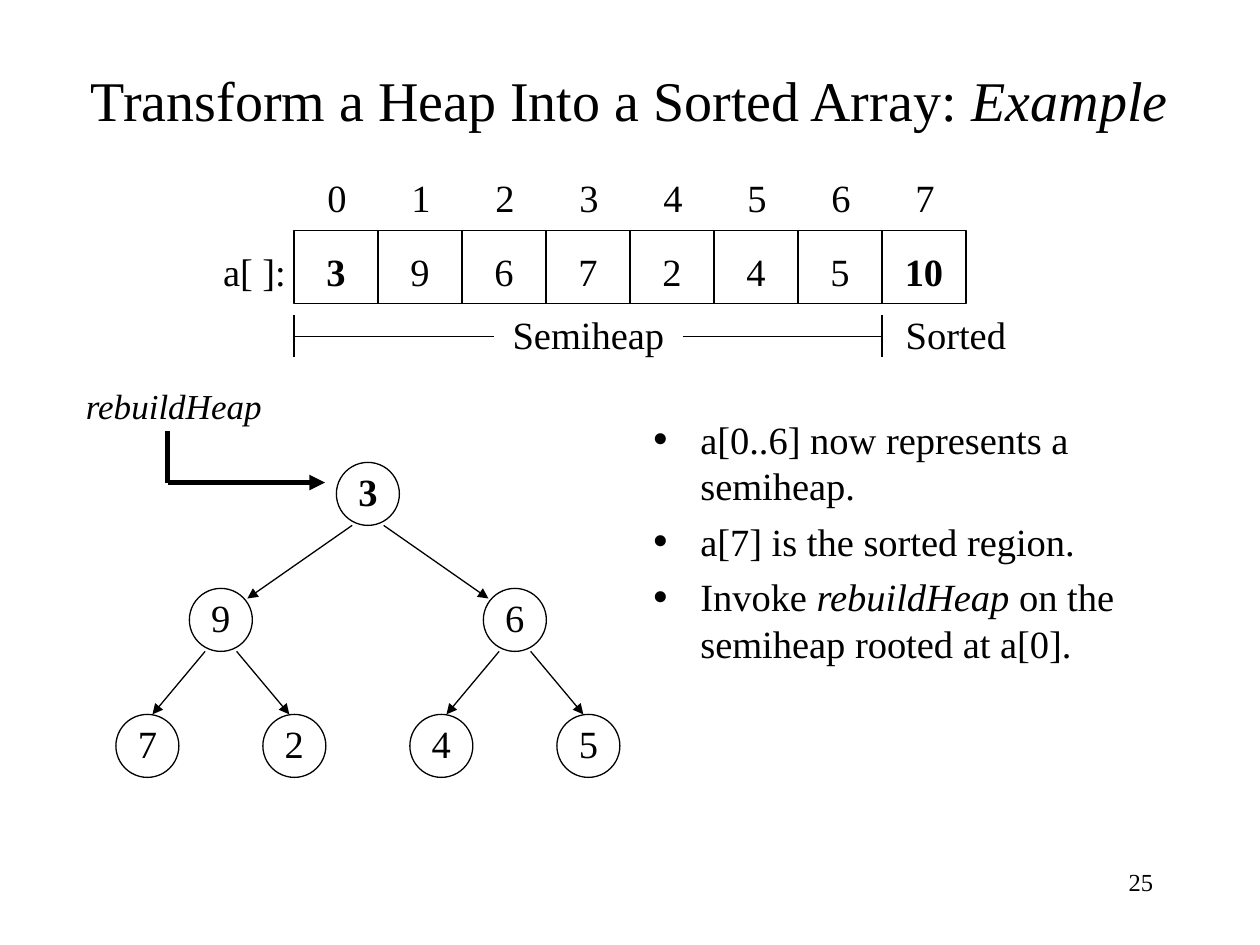
from dataclasses import dataclass

import pptx
import pptx.dml.color
import pptx.enum.shapes
import pptx.enum.text
import pptx.oxml
import pptx.oxml.ns
import pptx.util

Inches = pptx.util.Inches
Pt = pptx.util.Pt
Align = pptx.enum.text.PP_ALIGN
Anchor = pptx.enum.text.MSO_ANCHOR
Shape = pptx.enum.shapes.MSO_SHAPE

BLACK = pptx.dml.color.RGBColor(0x00, 0x00, 0x00)
FONT = "Times New Roman"

ARRAY_VALUES = [3, 9, 6, 7, 2, 4, 5, 10]
BOLD_INDEXES = {0, 7}
SORTED_START = 7
CELL_LEFT, CELL_TOP = 7 / 3, 1.83
CELL_WIDTH, CELL_HEIGHT = 2 / 3, 0.58

TREE_DEPTH = 3
NODE_SIZE = 0.5
LEAF_LEFT, LEAF_PITCH = 0.92, 7 / 6
ROOT_TOP = 3.67


@dataclass
class Box:
    left: float
    top: float
    width: float
    height: float

    def lengths(self):
        return [Inches(n) for n in (self.left, self.top, self.width, self.height)]


@dataclass
class Line:
    start: tuple[float, float]
    end: tuple[float, float]
    width: float = 0.75
    arrow: bool = False


def write(paragraph, text: str, *, size: float = 22, bold: bool = False,
          italic: bool = False, align=Align.CENTER) -> None:
    """Append a formatted run to a paragraph."""
    paragraph.alignment = align
    run = paragraph.add_run()
    run.text = text
    run.font.name = FONT
    run.font.size = Pt(size)
    run.font.bold = bold
    run.font.italic = italic
    run.font.color.rgb = BLACK


def add_label(slide, text: str, box: Box, *, wrap: bool = False,
              anchor=Anchor.MIDDLE, **text_format) -> None:
    frame = slide.shapes.add_textbox(*box.lengths()).text_frame
    frame.word_wrap = wrap
    frame.vertical_anchor = anchor
    write(frame.paragraphs[0], text, **text_format)


def add_outlined(slide, kind, value: int, box: Box, *, bold: bool,
                 margin_top: float = 0, margin_bottom: float = 0) -> None:
    """Draw an unfilled shape holding one value."""
    shape = slide.shapes.add_shape(kind, *box.lengths())
    shape.shadow.inherit = False
    shape.fill.background()
    shape.line.color.rgb = BLACK
    shape.line.width = Pt(0.75)
    frame = shape.text_frame
    frame.word_wrap = False
    frame.vertical_anchor = Anchor.MIDDLE
    frame.margin_left = frame.margin_right = 0
    frame.margin_top = Inches(margin_top)
    frame.margin_bottom = Inches(margin_bottom)
    write(frame.paragraphs[0], str(value), bold=bold)


def add_line(slide, line: Line) -> None:
    connector = slide.shapes.add_connector(
        pptx.enum.shapes.MSO_CONNECTOR.STRAIGHT,
        *[Inches(n) for n in (*line.start, *line.end)])
    connector.line.color.rgb = BLACK
    connector.line.width = Pt(line.width)
    if line.arrow:
        outline = connector.line._get_or_add_ln()
        tail = pptx.oxml.ns.qn("a:tailEnd")
        outline.append(outline.makeelement(tail, {"type": "triangle"}))
    properties = connector._element.spPr
    properties.append(properties.makeelement(pptx.oxml.ns.qn("a:effectLst"), {}))


def add_bullet_mark(paragraph) -> None:
    properties = paragraph._p.get_or_add_pPr()
    indent = Inches(0.38)
    properties.set("marL", str(indent))
    properties.set("indent", str(-indent))
    for tag, attributes in (("a:buSzPct", {"val": "120000"}),
                            ("a:buFont", {"typeface": FONT}),
                            ("a:buChar", {"char": "•"})):
        properties.append(properties.makeelement(pptx.oxml.ns.qn(tag), attributes))


def draw_title(slide) -> None:
    title = slide.shapes.title
    title.left, title.top, title.width, title.height = Box(0.58, 0.5, 8.83, 0.58).lengths()
    frame = title.text_frame
    frame.auto_size = pptx.enum.text.MSO_AUTO_SIZE.NONE
    frame.vertical_anchor = Anchor.MIDDLE
    write(frame.paragraphs[0], "Transform a Heap Into a Sorted Array: ", size=32)
    write(frame.paragraphs[0], "Example", size=32, italic=True)


def draw_array(slide) -> None:
    # Cells with their indexes above
    for index, value in enumerate(ARRAY_VALUES):
        left = CELL_LEFT + index * CELL_WIDTH
        add_outlined(slide, Shape.RECTANGLE, value,
                     Box(left, CELL_TOP, CELL_WIDTH, CELL_HEIGHT),
                     bold=index in BOLD_INDEXES, margin_top=0.06)
        add_label(slide, str(index), Box(left + CELL_WIDTH / 4, 1.33, 0.33, 0.47),
                  wrap=True, anchor=Anchor.TOP)
    add_label(slide, "a[ ]:", Box(1.67, 1.92, 0.7, 0.47))

    # Region markers below
    right = CELL_LEFT + SORTED_START * CELL_WIDTH
    for x in (CELL_LEFT, right):
        add_line(slide, Line((x, 2.5), (x, 2.83)))
    add_line(slide, Line((CELL_LEFT, 2.67), (3.92, 2.67)))
    add_line(slide, Line((5.42, 2.67), (right, 2.67)))
    add_label(slide, "Semiheap", Box(3.97, 2.42, 1.4, 0.47))
    add_label(slide, "Sorted", Box(7.09, 2.42, 1.1, 0.47), wrap=True, align=Align.LEFT)


def node_box(depth: int, position: int) -> Box:
    leaf_span = 2 ** (TREE_DEPTH - 1 - depth)
    left = LEAF_LEFT + LEAF_PITCH * ((position + 0.5) * leaf_span - 0.5)
    return Box(left, ROOT_TOP + depth, NODE_SIZE, NODE_SIZE)


def draw_tree(slide) -> None:
    for depth in range(TREE_DEPTH):
        for position in range(2 ** depth):
            index = 2 ** depth - 1 + position
            box = node_box(depth, position)
            add_outlined(slide, Shape.OVAL, ARRAY_VALUES[index], box,
                         bold=index in BOLD_INDEXES, margin_bottom=0.04)
            if depth == 0:
                continue
            # Edge from the parent, ending on the child's inner side
            parent = node_box(depth - 1, position // 2)
            side = 1 if position % 2 else -1
            inset, drop = (0.21, 0.08) if depth == 1 else (0.04, 0)
            half = NODE_SIZE / 2
            add_line(slide, Line(
                (parent.left + half + side * half / 2, parent.top + NODE_SIZE),
                (box.left + half - side * inset, box.top + drop), arrow=True))


def draw_call(slide) -> None:
    add_label(slide, "rebuildHeap", Box(0.58, 3, 1.6, 0.44), size=20, italic=True)
    add_line(slide, Line((1.33, 3.42), (1.33, 3.83), width=3))
    add_line(slide, Line((1.33, 3.83), (2.58, 3.83), width=3, arrow=True))


def draw_bullets(slide) -> None:
    # Each bullet is a list of (text, italic) pieces
    bullets = [
        [("a[0..6] now represents a semiheap.", False)],
        [("a[7] is the sorted region.", False)],
        [("Invoke ", False), ("rebuildHeap", True),
         (" on the semiheap rooted at a[0].", False)],
    ]
    frame = slide.shapes.add_textbox(*Box(5.08, 3.25, 4.25, 3.67).lengths()).text_frame
    frame.word_wrap = True
    for number, pieces in enumerate(bullets):
        paragraph = frame.add_paragraph() if number else frame.paragraphs[0]
        add_bullet_mark(paragraph)
        if number:
            paragraph.space_before = Pt(5.5)
        for text, italic in pieces:
            write(paragraph, text, italic=italic, align=Align.LEFT)


def main() -> None:
    presentation = pptx.Presentation()
    presentation.slide_width, presentation.slide_height = Inches(10), Inches(7.5)
    slide = presentation.slides.add_slide(presentation.slide_layouts.get_by_name("Title Only"))
    draw_title(slide)
    draw_bullets(slide)
    draw_tree(slide)
    draw_array(slide)
    draw_call(slide)
    # Slide number
    add_label(slide, "25", Box(7.17, 6.83, 2.08, 0.5), wrap=True,
              anchor=Anchor.TOP, size=14, align=Align.RIGHT)
    presentation.save("out.pptx")


if __name__ == "__main__":
    main()
